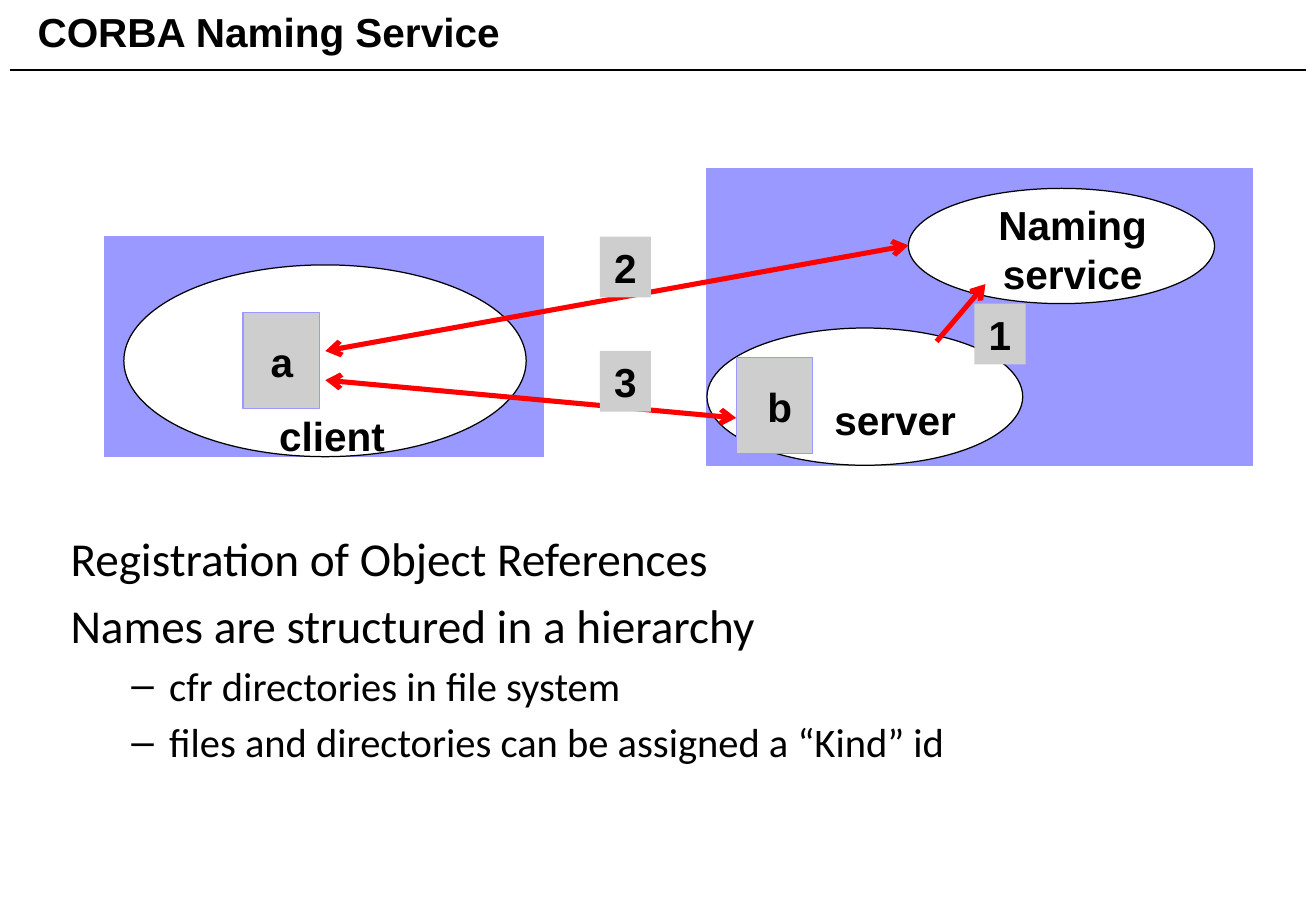
import pptx
import pptx.util
import pptx.dml.color
import pptx.enum.shapes
import pptx.enum.text
import pptx.oxml.ns
import lxml.etree

Cm, Pt = pptx.util.Cm, pptx.util.Pt
SHAPE = pptx.enum.shapes.MSO_SHAPE
ALIGN = pptx.enum.text.PP_ALIGN
ANCHOR = pptx.enum.text.MSO_ANCHOR
AUTO = pptx.enum.text.MSO_AUTO_SIZE
qn = pptx.oxml.ns.qn

COLORS = {"text": "000000", "node": "9999FF", "process": "FFFFFF",
          "object": "CECECE", "arrow": "FF0000"}


def rgb(name):
    return pptx.dml.color.RGBColor.from_string(COLORS[name])


def set_font(p, name, size, bold=False):
    p.font.name, p.font.size, p.font.bold = name, Pt(size), bold
    p.font.color.rgb = rgb("text")


def place(sp, x, y, w, h):
    sp.left, sp.top, sp.width, sp.height = Cm(x), Cm(y), Cm(w), Cm(h)


def add_line(s, x1, y1, x2, y2, color, width, ends=()):
    line = s.shapes.add_connector(pptx.enum.shapes.MSO_CONNECTOR.STRAIGHT,
                                  Cm(x1), Cm(y1), Cm(x2), Cm(y2))
    line.line.color.rgb = rgb(color)
    line.line.width = Pt(width)
    ln = line.line._get_or_add_ln()
    for end in ends:
        lxml.etree.SubElement(ln, qn(f"a:{end}"), type="arrow")
    lxml.etree.SubElement(line._element.spPr, qn("a:effectLst"))


def add_block(s, kind, x, y, w, h, fill, line=None):
    sp = s.shapes.add_shape(kind, Cm(x), Cm(y), Cm(w), Cm(h))
    sp.shadow.inherit = False
    sp.fill.solid()
    sp.fill.fore_color.rgb = rgb(fill)
    if line:
        sp.line.color.rgb = rgb(line)
        sp.line.width = Pt(0.75)
    else:
        sp.line.fill.background()
    return sp


def write_label(sp, text):
    tf = sp.text_frame
    tf.word_wrap = False
    tf.auto_size = AUTO.SHAPE_TO_FIT_TEXT
    tf.vertical_anchor = ANCHOR.TOP
    p = tf.paragraphs[0]
    p.text = text
    p.alignment = ALIGN.CENTER
    set_font(p, "Arial", 24, True)


def add_title(s, x, y, w, h):
    title = s.shapes.title
    place(title, x, y, w, h)
    tf = title.text_frame
    tf.auto_size = AUTO.NONE
    tf.vertical_anchor = ANCHOR.MIDDLE
    p = tf.paragraphs[0]
    p.text = "CORBA Naming Service"
    p.alignment = ALIGN.LEFT
    set_font(p, "Arial", 24, True)
    # Rule under the title
    add_line(s, x - 0.33, y + 1.47, x + 26.77, y + 1.47, "text", 1)


def add_points(s, x, y, w, h):
    body = s.placeholders[1]
    place(body, x, y, w, h)
    tf = body.text_frame
    tf.auto_size = AUTO.NONE
    points = [(0, "Registration of Object References"),
              (0, "Names are structured in a hierarchy"),
              (1, "cfr directories in file system"),
              (1, "files and directories can be assigned a “Kind” id")]
    for i, (level, text) in enumerate(points):
        p = tf.add_paragraph() if i else tf.paragraphs[0]
        p.text, p.level = text, level
        if level == 0:
            lxml.etree.SubElement(p._p.get_or_add_pPr(), qn("a:buNone"))
        set_font(p, "Calibri", 24 if level else 28)


def add_diagram(s, x, y):
    # Machines, processes and objects
    node = (SHAPE.RECTANGLE, "node", "node")
    process = (SHAPE.OVAL, "process", "text")
    obj = (SHAPE.RECTANGLE, "object", "node")
    for (kind, fill, line), dx, dy, w, h in [
            (node, 0, 1.42, 9.19, 4.6),
            (process, 0.41, 2.01, 8.41, 4.01),
            (obj, 2.9, 3, 1.6, 2.01),
            (node, 12.6, 0, 11.4, 6.2),
            (process, 12.6, 3.33, 6.6, 2.87),
            (obj, 13.21, 3.94, 1.6, 2.01),
            (process, 16.81, 0.41, 6.4, 2.41)]:
        add_block(s, kind, x + dx, y + dy, w, h, fill, line)

    # Names
    for text, dx, dy, w, h in [
            ("client", 3.4, 4.95, 2.72, 1.27),
            ("server", 15.01, 4.6, 3.05, 1.27),
            ("a", 3.18, 3.4, 1.07, 1.27),
            ("b", 13.56, 4.34, 1.12, 1.27),
            ("Naming\nservice", 18.44, 0.53, 3.61, 2.29)]:
        write_label(s.shapes.add_textbox(Cm(x + dx), Cm(y + dy), Cm(w), Cm(h)), text)

    # Calls between the objects
    both = ("headEnd", "tailEnd")
    for x1, y1, x2, y2, ends in [
            (4.62, 3.81, 16.81, 1.6, both),
            (18.42, 2.41, 17.4, 3.61, both[:1]),
            (4.62, 4.42, 13.21, 5.21, both)]:
        add_line(s, x + x1, y + y1, x + x2, y + y2, "arrow", 3, ends)

    # Step numbers
    for text, dx, dy in [("1", 18.19, 2.82), ("2", 10.36, 1.42), ("3", 10.36, 3.81)]:
        write_label(add_block(s, SHAPE.RECTANGLE, x + dx, y + dy, 1.07, 1.27, "object"), text)


def main():
    prs = pptx.Presentation()
    prs.slide_width, prs.slide_height = Cm(27.51), Cm(19.05)
    s = prs.slides.add_slide(prs.slide_layouts[1])
    add_title(s, 0.53, 0, 16.18, 1.32)
    add_points(s, 1.22, 10.95, 24.97, 5.59)
    add_diagram(s, 2.18, 3.53)
    prs.save("out.pptx")


if __name__ == "__main__":
    main()
